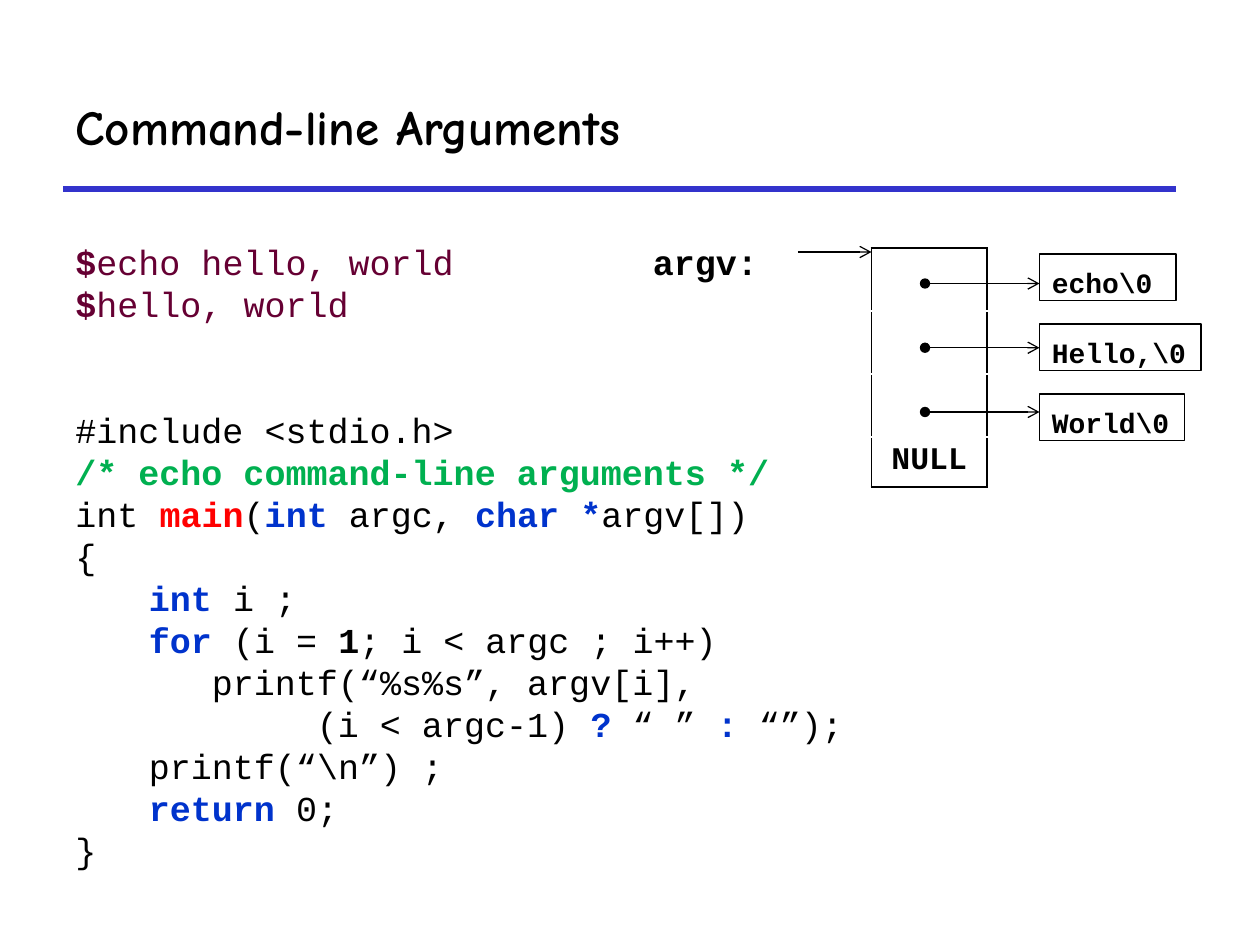
from lxml import etree
from pptx import Presentation, util as u
from pptx.dml.color import RGBColor
from pptx.enum import shapes, text
from pptx.oxml.ns import qn

MONO, HEAD = "Courier New", "Comic Neue"
BLACK, BLUE, RED = "000000", "0033CC", "FF0000"
GREEN, PLUM, RULE = "00B050", "660033", "3333CC"


def color(value):
    return RGBColor.from_string(value)


def grid(n):
    """One column or row of the grid is a twelfth of an inch."""
    return u.Inches(n / 12)


def write(paragraph, words, size=20, font=MONO, ink=BLACK, bold=True):
    """Add a run; a line break in the words becomes a soft break."""
    for i, line in enumerate(words.split("\n")):
        if i:
            paragraph.add_line_break()
        run = paragraph.add_run()
        run.text = line
        run.font.size, run.font.name, run.font.bold = u.Pt(size), font, bold
        run.font.color.rgb = color(ink)


class Slide:
    def __init__(self, deck):
        self.shapes = deck.slides.add_slide(deck.slide_layouts[6]).shapes

    def frame(self, shape, top=0.05, wrap=True, anchor=text.MSO_ANCHOR.TOP):
        frame = shape.text_frame
        frame.word_wrap, frame.vertical_anchor = wrap, anchor
        frame.margin_top = u.Inches(top)
        return frame

    def label(self, x, y, w, h, words, top=0.05, wrap=True,
              anchor=text.MSO_ANCHOR.TOP, **style):
        box = self.shapes.add_textbox(*map(grid, (x, y, w, h)))
        write(self.frame(box, top, wrap, anchor).paragraphs[0], words, **style)

    def code(self, x, y, w, h, lines, gap_before):
        box = self.shapes.add_textbox(*map(grid, (x, y, w, h)))
        frame = self.frame(box)
        for i, line in enumerate(lines):
            p = frame.add_paragraph() if i else frame.paragraphs[0]
            p.line_spacing = u.Pt(24)
            p.space_before = u.Pt(48 if i == gap_before else 0)
            props = p._p.get_or_add_pPr()
            props.set("marL", str(grid(7)))
            props.set("indent", str(-grid(7)))
            for words, ink, bold in line:
                write(p, words, ink=ink, bold=bold)

    def string_box(self, x, y, w, h, words):
        box = self.shapes.add_shape(shapes.MSO_SHAPE.RECTANGLE,
                                    *map(grid, (x, y, w, h)))
        box.shadow.inherit = False
        box.fill.background()
        box.line.color.rgb, box.line.width = color(BLACK), u.Pt(0.75)
        p = self.frame(box, top=0.09, wrap=False).paragraphs[0]
        p.alignment = text.PP_ALIGN.LEFT
        write(p, words, size=16)

    def line(self, x1, y1, x2, y2, ink=BLACK, width=0.75, **ends):
        link = self.shapes.add_connector(shapes.MSO_CONNECTOR.STRAIGHT,
                                         *map(grid, (x1, y1, x2, y2)))
        link.line.color.rgb, link.line.width = color(ink), u.Pt(width)
        for end in ("headEnd", "tailEnd"):
            if end in ends:
                etree.SubElement(link.line._get_or_add_ln(), qn("a:" + end),
                                 type=ends[end])
        etree.SubElement(link._element.spPr, qn("a:effectLst"))

    def pointer_table(self, x, y, w, heights, last):
        table = self.shapes.add_table(len(heights), 1, grid(x), grid(y),
                                      grid(w), grid(sum(heights))).table
        table.horz_banding = table.first_row = False
        bottom = len(heights) - 1
        for i, height in enumerate(heights):
            table.rows[i].height = grid(height)
            cell = table.cell(i, 0)
            sides = ["lnL", "lnR"] + ["lnT"] * (i == 0) + ["lnB"] * (i == bottom)
            for side in sides:
                border = etree.SubElement(cell._tc.get_or_add_tcPr(),
                                          qn("a:" + side), w=str(u.Pt(1)))
                fill = etree.SubElement(border, qn("a:solidFill"))
                etree.SubElement(fill, qn("a:srgbClr"), val=BLACK)
            cell.fill.solid()
            cell.fill.fore_color.rgb = color("FFFFFF")
        p = table.cell(bottom, 0).text_frame.paragraphs[0]
        p.alignment = text.PP_ALIGN.CENTER
        write(p, last, size=18)


def plain(words):
    return words, BLACK, False


def keyword(words):
    return words, BLUE, True


def command(words):
    return [("$", PLUM, True), (words, PLUM, False)]


PROGRAM = [
    command("echo hello, world"),
    command("hello, world"),
    [plain("#include <stdio.h>")],
    [("/* echo command-line arguments */", GREEN, True)],
    [plain("int "), ("main", RED, True), plain("("), keyword("int "),
     plain("argc, "), keyword("char *"), plain("argv[])")],
    [plain("{")],
    [plain("\t"), keyword("int"), plain(" i ;")],
    [plain("\t"), keyword("for"), plain(" (i = "), ("1", BLACK, True),
     plain("; i < argc ; i++)")],
    [plain("\t\tprintf(“%s%s”, argv[i], \n\t\t  (i < argc-1) "),
     keyword("?"), plain(" “ ” "), keyword(":"), plain(" “”);")],
    [plain("\tprintf(“\\n”) ;")],
    [plain("\t"), keyword("return"), plain(" 0;")],
    [plain("}")],
]
ARGUMENTS = [("echo\\0", 13), ("Hello,\\0", 15.4), ("World\\0", 13.8)]


def main():
    deck = Presentation()
    deck.slide_width, deck.slide_height = grid(120), grid(90)
    slide = Slide(deck)

    # Title and rule
    slide.line(6, 18, 112, 18, ink=RULE, width=3)
    slide.label(6, 6, 106, 12, "Command-line Arguments", size=28, font=HEAD,
                anchor=text.MSO_ANCHOR.MIDDLE)

    # Session and program
    slide.code(6, 22.3, 109, 63, PROGRAM, gap_before=2)

    # Argument vector: table, strings and pointers
    slide.pointer_table(83, 23.6, 11, [6, 6, 6, 4.8], "NULL")
    for i, (words, width) in enumerate(ARGUMENTS):
        slide.string_box(99, 24.2 + 6.67 * i, width, 4.45, words)
    for i in range(len(ARGUMENTS)):
        y = 27 + 6.12 * i
        slide.line(88.1, y, 99, y, headEnd="oval", tailEnd="arrow")
    slide.line(76, 24, 83, 24, tailEnd="arrow")
    slide.label(61, 21.7, 12.5, 5.3, "argv:", top=0.1, wrap=False)

    deck.save("out.pptx")


if __name__ == "__main__":
    main()
